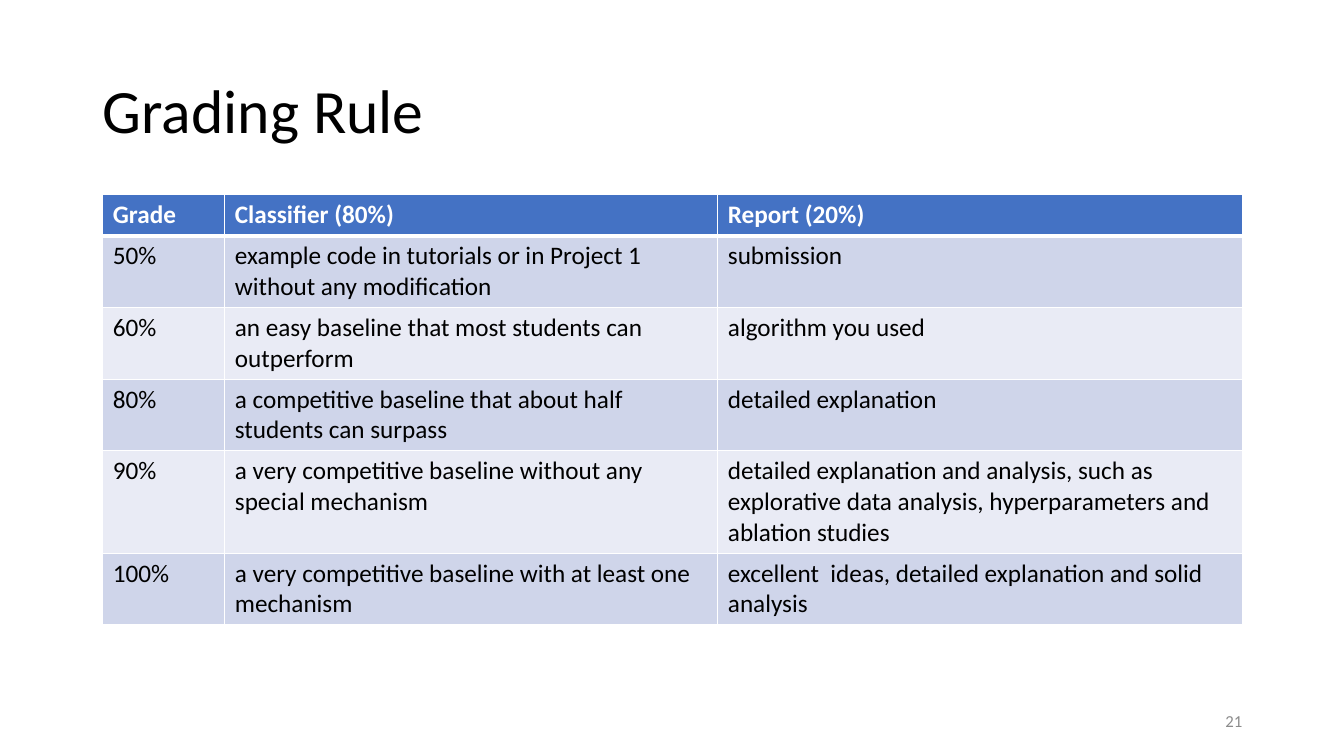
"""Build the grading rule slide."""
from lxml import etree
from pptx import Presentation
from pptx import util as u
from pptx.dml.color import RGBColor
from pptx.enum import text
from pptx.oxml import ns

HUES = {"head": "4472C4", "odd": "CFD5EA", "even": "E9EBF5",
        "white": "FFFFFF", "black": "000000", "gray": "8C8C8C"}
FONT = "Calibri"
WIDE, HIGH = u.Inches(13.33), u.Inches(7.5)
COLS = (1.21, 4.89, 5.2)
ROW = 0.41
RULES = (
    ("Grade", "Classifier (80%)", "Report (20%)"),
    ("50%", "example code in tutorials or in Project 1 without any modification",
     "submission"),
    ("60%", "an easy baseline that most students can outperform",
     "algorithm you used"),
    ("80%", "a competitive baseline that about half students can surpass",
     "detailed explanation"),
    ("90%", "a very competitive baseline without any special mechanism",
     "detailed explanation and analysis, such as explorative data analysis, "
     "hyperparameters and ablation studies"),
    ("100%", "a very competitive baseline with at least one mechanism",
     "excellent  ideas, detailed explanation and solid analysis"),
)


def hue(name):
    """Return the named colour."""
    return RGBColor.from_string(HUES[name])


def write(frame, words, size, color, bold=False):
    """Put words in a text frame and format them."""
    frame.text = words
    frame.word_wrap = True
    para = frame.paragraphs[0]
    for run in para.runs:
        font = run.font
        font.name, font.size, font.bold = FONT, u.Pt(size), bold
        font.color.rgb = hue(color)
    return para


def edge(cell, side, width):
    """Draw one white border of a cell."""
    props = cell._tc.get_or_add_tcPr()
    line = etree.SubElement(props, ns.qn(f"a:ln{side}"), w=str(u.Pt(width)))
    fill = etree.SubElement(line, ns.qn("a:solidFill"))
    etree.SubElement(fill, ns.qn("a:srgbClr"), val=HUES["white"])


def title(slide, box):
    """Place the slide title in the box."""
    shape = slide.shapes.title
    shape.left, shape.top, shape.width, shape.height = box
    frame = shape.text_frame
    frame.vertical_anchor = text.MSO_ANCHOR.MIDDLE
    para = write(frame, "Grading Rule", 44, "black")
    para.alignment = text.PP_ALIGN.LEFT
    para.line_spacing = 0.9


def grid(slide, box):
    """Place the table of grading rules in the box."""
    table = slide.shapes.add_table(len(RULES), len(COLS), *box).table
    for col, width in zip(table.columns, COLS):
        col.width = u.Inches(width)
    for i, (row, words) in enumerate(zip(table.rows, RULES)):
        row.height = u.Inches(ROW)
        head = i == 0
        shade = "head" if head else "odd" if i % 2 else "even"
        ink = "white" if head else "black"
        rims = {"L": 1, "R": 1, "T": 3 if i == 1 else 1, "B": 3 if head else 1}
        for cell, word in zip(row.cells, words):
            write(cell.text_frame, word, 18, ink, head)
            for side, width in rims.items():
                edge(cell, side, width)
            cell.fill.solid()
            cell.fill.fore_color.rgb = hue(shade)


def number(slide, box):
    """Place the page number in the box."""
    frame = slide.shapes.add_textbox(*box).text_frame
    frame.vertical_anchor = text.MSO_ANCHOR.MIDDLE
    write(frame, "21", 12, "gray").alignment = text.PP_ALIGN.RIGHT


def main():
    """Build and save the slide."""
    deck = Presentation()
    deck.slide_width, deck.slide_height = WIDE, HIGH
    slide = deck.slides.add_slide(deck.slide_layouts[5])
    grid(slide, [u.Inches(n) for n in (1.02, 1.93, sum(COLS), ROW * len(RULES))])
    title(slide, [u.Inches(n) for n in (0.92, 0.4, 11.5, 1.45)])
    number(slide, [u.Inches(n) for n in (9.42, 6.95, 3, 0.4)])
    deck.save("out.pptx")


if __name__ == "__main__":
    main()
